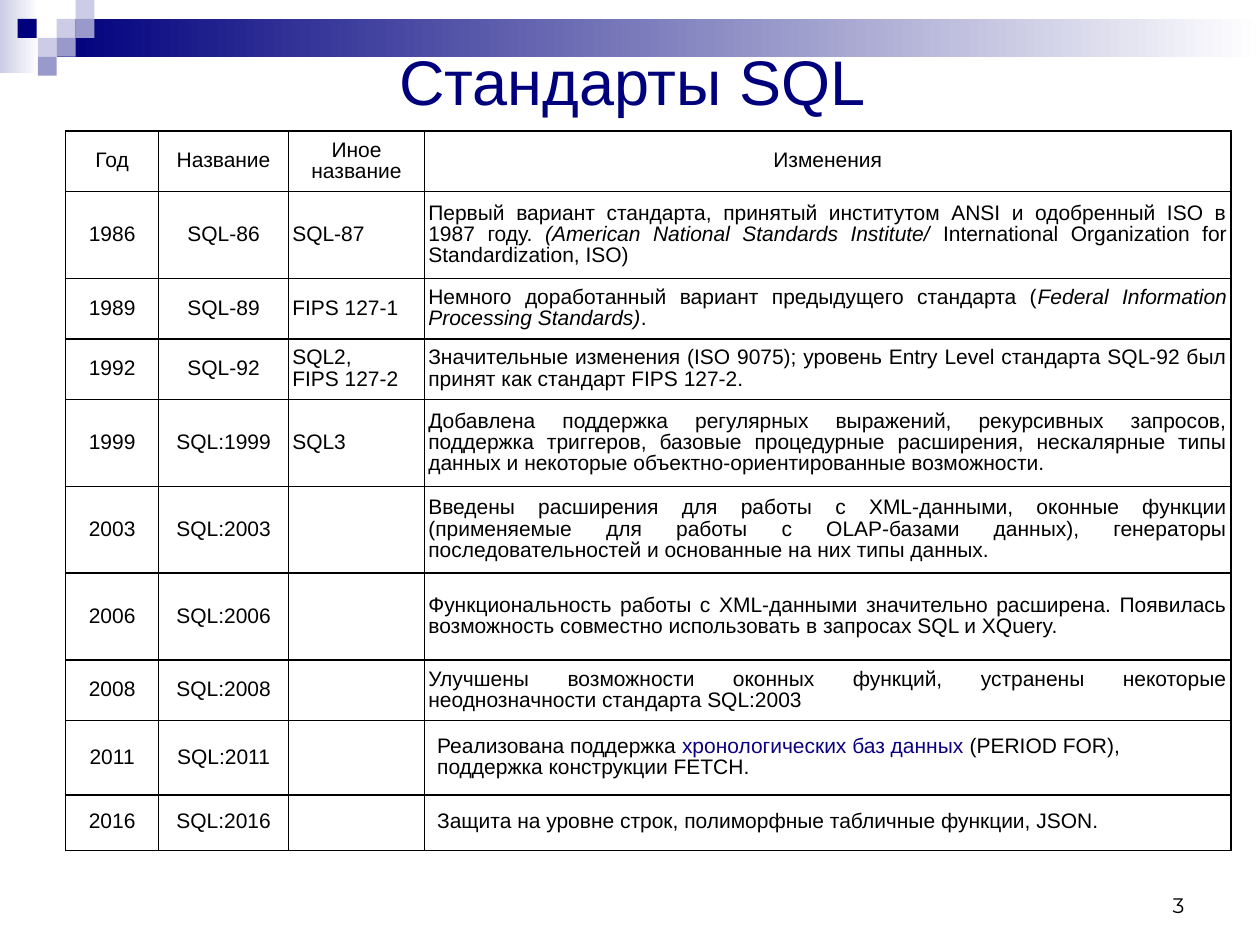
from lxml.etree import SubElement
from pptx import Presentation
from pptx.dml.color import RGBColor
from pptx.enum.shapes import MSO_SHAPE
from pptx.enum.text import MSO_ANCHOR, PP_ALIGN
from pptx.oxml import parse_xml
from pptx.oxml.ns import nsdecls, qn
from pptx.util import Inches, Pt

NAVY, LILAC, VIOLET = "00007D", "CCCCE6", "9999CC"
BLACK, WHITE, LINK = "000000", "FFFFFF", "0B0080"
TILE = 0.15
TILES = [(0.45, 0.15, LILAC), (0.6, 0, LILAC), (0.6, 0.15, VIOLET),
         (0.3, 0.3, LILAC), (0.14, 0.15, NAVY), (0.45, 0.3, VIOLET),
         (0.3, 0.45, VIOLET)]
COLUMNS = [0.74, 1.03, 1.08, 6.4]
HEIGHTS = [0.48, 0.69, 0.48, 0.48, 0.69, 0.69, 0.69, 0.48, 0.59, 0.44]
FIRST_LOOSE_ROW = 8
ROWS = [
    ("Год", "Название", "Иное название", [("Изменения",)]),
    ("1986", "SQL-86", "SQL-87", [
        ("Первый вариант стандарта, принятый институтом ANSI и одобренный "
         "ISO в 1987 году.",),
        (" (American National Standards Institute/ ", True),
        ("International Organization for Standardization, ISO)",)]),
    ("1989", "SQL-89", "FIPS 127-1", [
        ("Немного доработанный вариант предыдущего стандарта (",),
        ("Federal Information Processing Standards)", True),
        (".",)]),
    ("1992", "SQL-92", "SQL2,\vFIPS 127-2", [
        ("Значительные изменения (ISO 9075); уровень Entry Level стандарта "
         "SQL-92 был принят как стандарт FIPS 127-2.",)]),
    ("1999", "SQL:1999", "SQL3", [
        ("Добавлена поддержка регулярных выражений, рекурсивных запросов, "
         "поддержка триггеров, базовые процедурные расширения, нескалярные "
         "типы данных и некоторые объектно-ориентированные возможности.",)]),
    ("2003", "SQL:2003", "", [
        ("Введены расширения для работы с XML-данными, оконные функции "
         "(применяемые для работы с OLAP-базами данных), генераторы "
         "последовательностей и основанные на них типы данных.",)]),
    ("2006", "SQL:2006", "", [
        ("Функциональность работы с XML-данными значительно расширена. "
         "Появилась возможность совместно использовать в запросах SQL "
         "и XQuery.",)]),
    ("2008", "SQL:2008", "", [
        ("Улучшены возможности оконных функций, устранены некоторые "
         "неоднозначности стандарта SQL:2003",)]),
    ("2011", "SQL:2011", "", [
        ("Реализована поддержка ",),
        ("хронологических баз данных", False, LINK),
        (" (PERIOD FOR), поддержка конструкции FETCH.",)]),
    ("2016", "SQL:2016", "", [
        ("Защита на уровне строк, полиморфные табличные функции, JSON.",)]),
]


def rgb(value):
    """Turn a hex string into a colour."""
    return RGBColor.from_string(value)


def style(font, size, color=BLACK, name="Arial"):
    """Set the size, colour and typeface of a font."""
    font.size, font.name = Pt(size), name
    font.color.rgb = rgb(color)


def add_block(slide, x, y, w, h, *colors):
    """Add a rectangle with a solid fill or a horizontal gradient."""
    sp = slide.shapes.add_shape(MSO_SHAPE.RECTANGLE, Inches(x), Inches(y),
                                Inches(w), Inches(h))
    sp.shadow.inherit = False
    sp.line.fill.background()
    if len(colors) == 1:
        sp.fill.solid()
        sp.fill.fore_color.rgb = rgb(colors[0])
    else:
        sp.fill.gradient()
        sp.fill.gradient_angle = 0
        for stop, color in zip(sp.fill.gradient_stops, colors):
            stop.color.rgb = rgb(color)


def add_banner(slide, x, y, w):
    """Draw the gradient band and the tile mosaic at the top."""
    add_block(slide, x, y, 0.31, 0.58, LILAC, WHITE)
    add_block(slide, x + 0.45, y + TILE, w - 0.45, 0.3, NAVY, WHITE)
    for dx, dy, color in TILES:
        add_block(slide, x + dx, y + dy, TILE, TILE, color)


def add_title(slide, x, y, w, h):
    """Place and format the title placeholder."""
    title = slide.shapes.title
    title.left, title.top = Inches(x), Inches(y)
    title.width, title.height = Inches(w), Inches(h)
    tf = title.text_frame
    tf.text = "Стандарты SQL"
    tf.vertical_anchor = MSO_ANCHOR.MIDDLE
    p = tf.paragraphs[0]
    p.alignment = PP_ALIGN.CENTER
    style(p.runs[0].font, 36, NAVY)


def set_borders(cell):
    """Draw a thin black line on each side of a cell."""
    tc_pr = cell._tc.get_or_add_tcPr()
    for i, side in enumerate(("lnL", "lnR", "lnT", "lnB")):
        ln = parse_xml(f'<a:{side} {nsdecls("a")} w="{Pt(1)}"/>')
        fill = SubElement(ln, qn("a:solidFill"))
        SubElement(fill, qn("a:srgbClr"), val=BLACK)
        tc_pr.insert(i, ln)


def fill_cell(cell, content, alignment, tight):
    """Write and format the text of one table cell."""
    cell.fill.background()
    set_borders(cell)
    cell.vertical_anchor = MSO_ANCHOR.MIDDLE
    if tight:
        cell.margin_left = cell.margin_right = Inches(0.03)
        cell.margin_top = cell.margin_bottom = Inches(0.03)
    p = cell.text_frame.paragraphs[0]
    p.alignment, p.line_spacing = alignment, 0.9
    if isinstance(content, str):
        p.text = content
        for r in p.runs:
            style(r.font, 12)
        return
    for text, italic, color in ((*part, False, BLACK)[:3] if len(part) == 1
                                else (*part, BLACK)[:3] for part in content):
        r = p.add_run()
        r.text = text
        style(r.font, 12, color)
        r.font.italic = italic


def add_standards(slide, x, y, w, h):
    """Build the table of standards."""
    table = slide.shapes.add_table(len(ROWS), len(COLUMNS), Inches(x),
                                   Inches(y), Inches(w), Inches(h)).table
    table.first_row = table.horz_banding = False
    for column, width in zip(table.columns, COLUMNS):
        column.width = Inches(width)
    for i, (row, height) in enumerate(zip(ROWS, HEIGHTS)):
        table.rows[i].height = Inches(height)
        tight = i < FIRST_LOOSE_ROW
        for j, content in enumerate(row):
            if i == 0 or j < 2:
                alignment = PP_ALIGN.CENTER
            else:
                alignment = PP_ALIGN.JUSTIFY if tight else PP_ALIGN.LEFT
            fill_cell(table.cell(i, j), content, alignment, tight)


def add_page_number(slide, x, y, w, h):
    """Put the page number at the bottom right."""
    tf = slide.shapes.add_textbox(Inches(x), Inches(y), Inches(w),
                                  Inches(h)).text_frame
    tf.word_wrap = True
    tf.vertical_anchor = MSO_ANCHOR.BOTTOM
    tf.text = "3"
    p = tf.paragraphs[0]
    p.alignment = PP_ALIGN.RIGHT
    style(p.runs[0].font, 12, name="Montserrat")


def main():
    """Build and save the slide."""
    prs = Presentation()
    prs.slide_width, prs.slide_height = Inches(10), Inches(7.5)
    slide = prs.slides.add_slide(prs.slide_layouts[5])
    add_banner(slide, 0, 0, 10)
    add_title(slide, 0.52, 0.35, 9, 0.57)
    add_standards(slide, 0.52, 1.04, sum(COLUMNS), sum(HEIGHTS))
    add_page_number(slide, 7.17, 6.83, 2.33, 0.5)
    prs.save("out.pptx")


if __name__ == "__main__":
    main()
